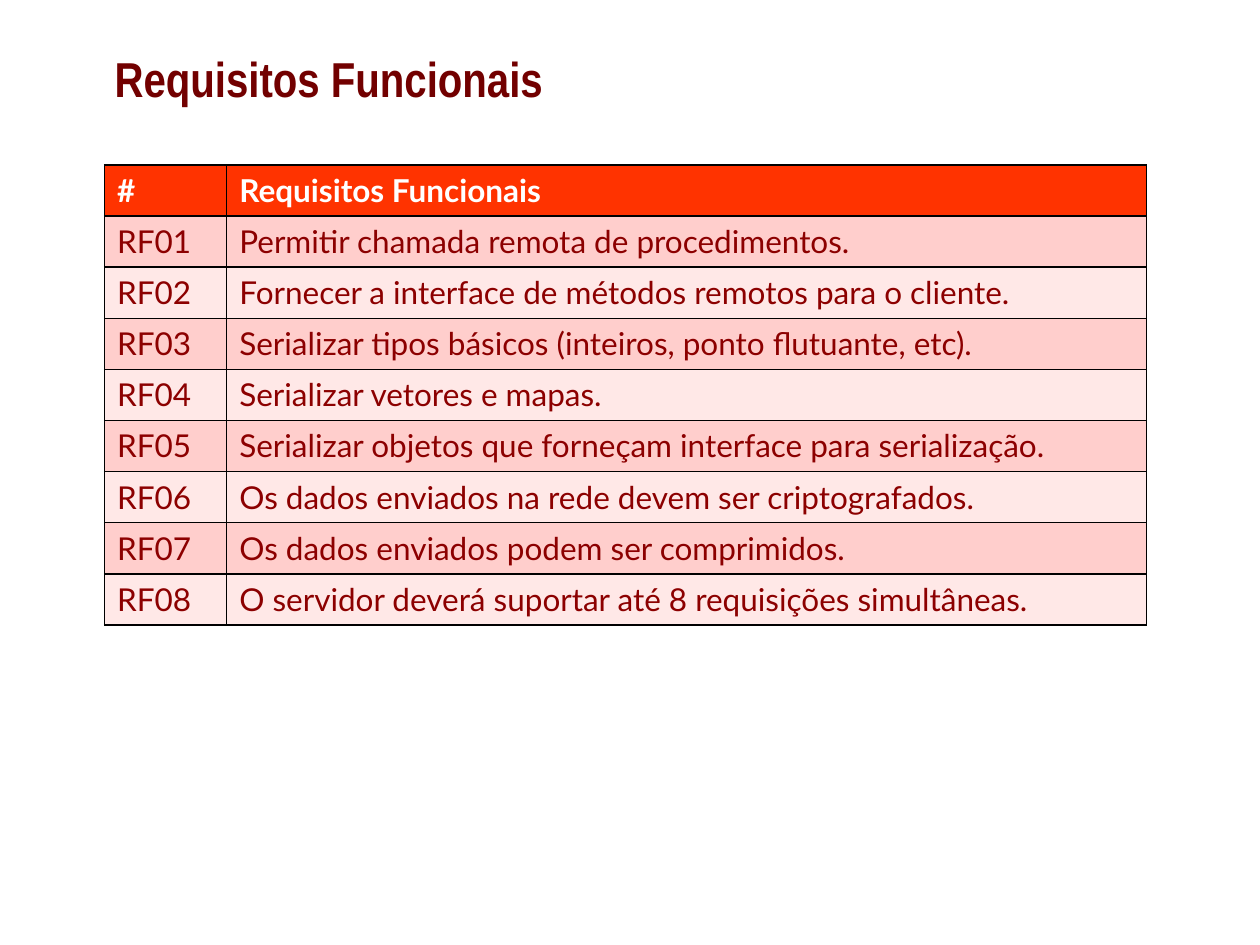
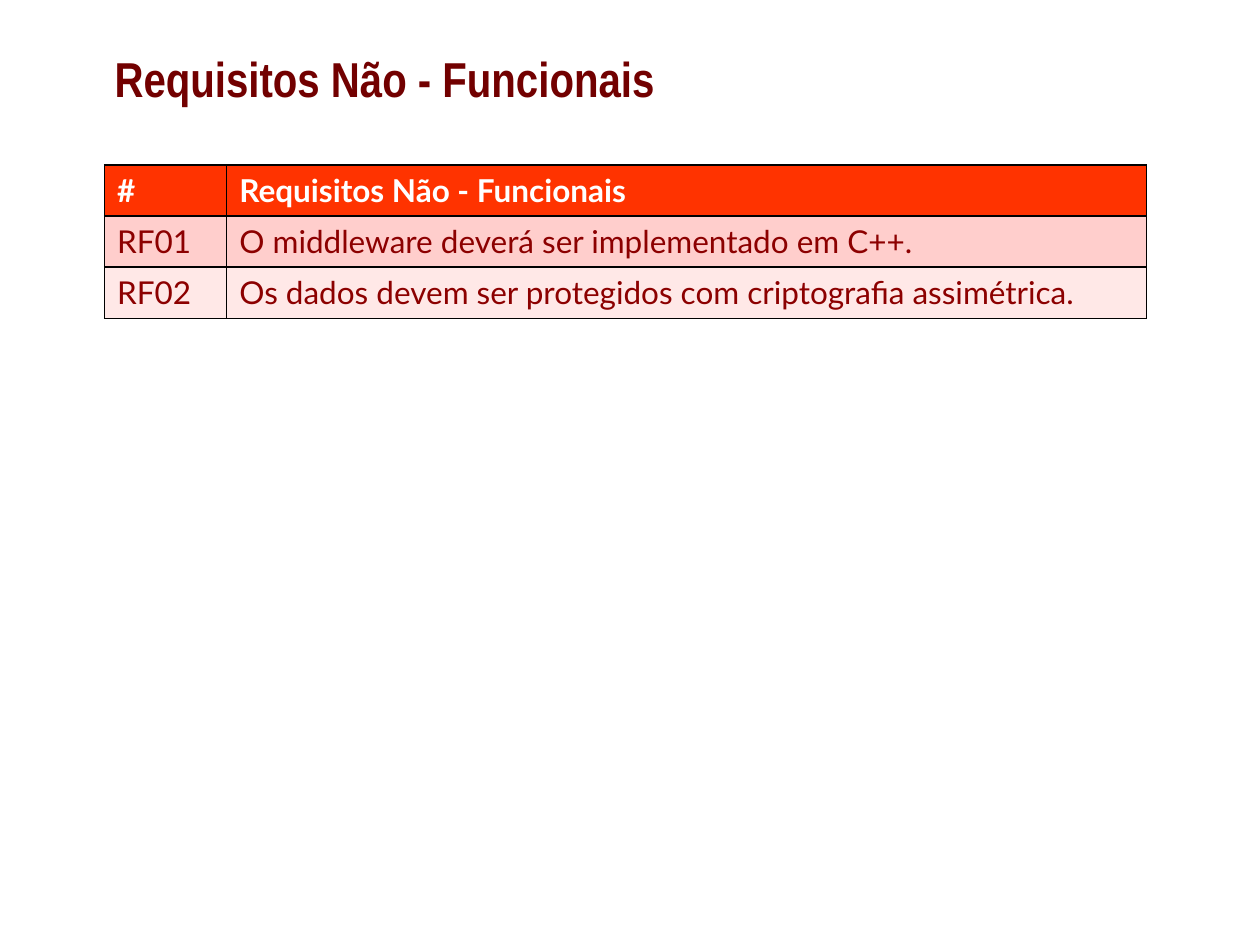
"""Build two slides that list functional and non-functional requirements."""
import dataclasses

import pptx
import pptx.dml.color
import pptx.enum.text
import pptx.oxml
import pptx.oxml.ns
import pptx.util

Inches = pptx.util.Inches

REQUIREMENTS = {
    "Requisitos Funcionais": [
        "Permitir chamada remota de procedimentos.",
        "Fornecer a interface de métodos remotos para o cliente.",
        "Serializar tipos básicos (inteiros, ponto flutuante, etc).",
        "Serializar vetores e mapas.",
        "Serializar objetos que forneçam interface para serialização.",
        "Os dados enviados na rede devem ser criptografados.",
        "Os dados enviados podem ser comprimidos.",
        "O servidor deverá suportar até 8 requisições simultâneas.",
    ],
    "Requisitos Não - Funcionais": [
        "O middleware deverá ser implementado em C++.",
        "Os dados devem ser protegidos com criptografia assimétrica.",
    ],
}


@dataclasses.dataclass(frozen=True)
class Theme:
    title_font: str = "Arial Narrow"
    table_font: str = "Lato"
    title_size: int = 28
    table_size: int = 18
    border_width: int = 1
    title: str = "720000"
    header_text: str = "FFFFFF"
    body_text: str = "8C0000"
    header_fill: str = "FF3300"
    row_fills: tuple = ("FFCECC", "FFE8E7")
    border: str = "000000"


THEME = Theme()
TITLE_AREA = [Inches(length) for length in (0.81, 0.21, 7.97, 0.81)]
TABLE_LEFT, TABLE_TOP = Inches(0.83), Inches(1.31)
COLUMN_WIDTHS = [Inches(0.97), Inches(7.3)]
ROW_HEIGHT = Inches(3.65 / 9)


def format_text(frame, font, size, color, bold):
    for para in frame.paragraphs:
        for span in para.runs:
            span.font.name = font
            span.font.size = pptx.util.Pt(size)
            span.font.bold = bold
            span.font.color.rgb = pptx.dml.color.RGBColor.from_string(color)


def add_borders(cell):
    properties = cell._tc.get_or_add_tcPr()
    width = pptx.util.Pt(THEME.border_width)
    for side in ("lnL", "lnR", "lnT", "lnB"):
        properties.append(pptx.oxml.parse_xml(
            f'<a:{side} {pptx.oxml.ns.nsdecls("a")} w="{width}"><a:solidFill>'
            f'<a:srgbClr val="{THEME.border}"/></a:solidFill></a:{side}>'))


def add_title(page, text):
    box = page.shapes.title
    box.left, box.top, box.width, box.height = TITLE_AREA
    frame = box.text_frame
    frame.text = text
    frame.auto_size = pptx.enum.text.MSO_AUTO_SIZE.NONE
    frame.vertical_anchor = pptx.enum.text.MSO_ANCHOR.MIDDLE
    frame.paragraphs[0].alignment = pptx.enum.text.PP_ALIGN.LEFT
    format_text(frame, THEME.title_font, THEME.title_size, THEME.title, True)


def add_requirements(page, heading, requirements):
    rows = [("#", heading)]
    rows += [(f"RF{number:02}", text) for number, text in enumerate(requirements, 1)]
    table = page.shapes.add_table(
        len(rows), len(COLUMN_WIDTHS), TABLE_LEFT, TABLE_TOP,
        sum(COLUMN_WIDTHS), ROW_HEIGHT * len(rows)).table
    for column, width in zip(table.columns, COLUMN_WIDTHS):
        column.width = width
    for index, row in enumerate(rows):
        header = index == 0
        fill = THEME.header_fill if header else THEME.row_fills[(index - 1) % 2]
        color = THEME.header_text if header else THEME.body_text
        for cell, text in zip(table.rows[index].cells, row):
            cell.text_frame.text = text
            format_text(cell.text_frame, THEME.table_font, THEME.table_size, color, header)
            add_borders(cell)
            cell.fill.solid()
            cell.fill.fore_color.rgb = pptx.dml.color.RGBColor.from_string(fill)


def main():
    deck = pptx.Presentation()
    deck.slide_width, deck.slide_height = Inches(10), Inches(7.5)
    title_only = deck.slide_layouts.get_by_name("Title Only")
    for heading, requirements in REQUIREMENTS.items():
        page = deck.slides.add_slide(title_only)
        add_title(page, heading)
        add_requirements(page, heading, requirements)
    deck.save("out.pptx")


if __name__ == "__main__":
    main()
